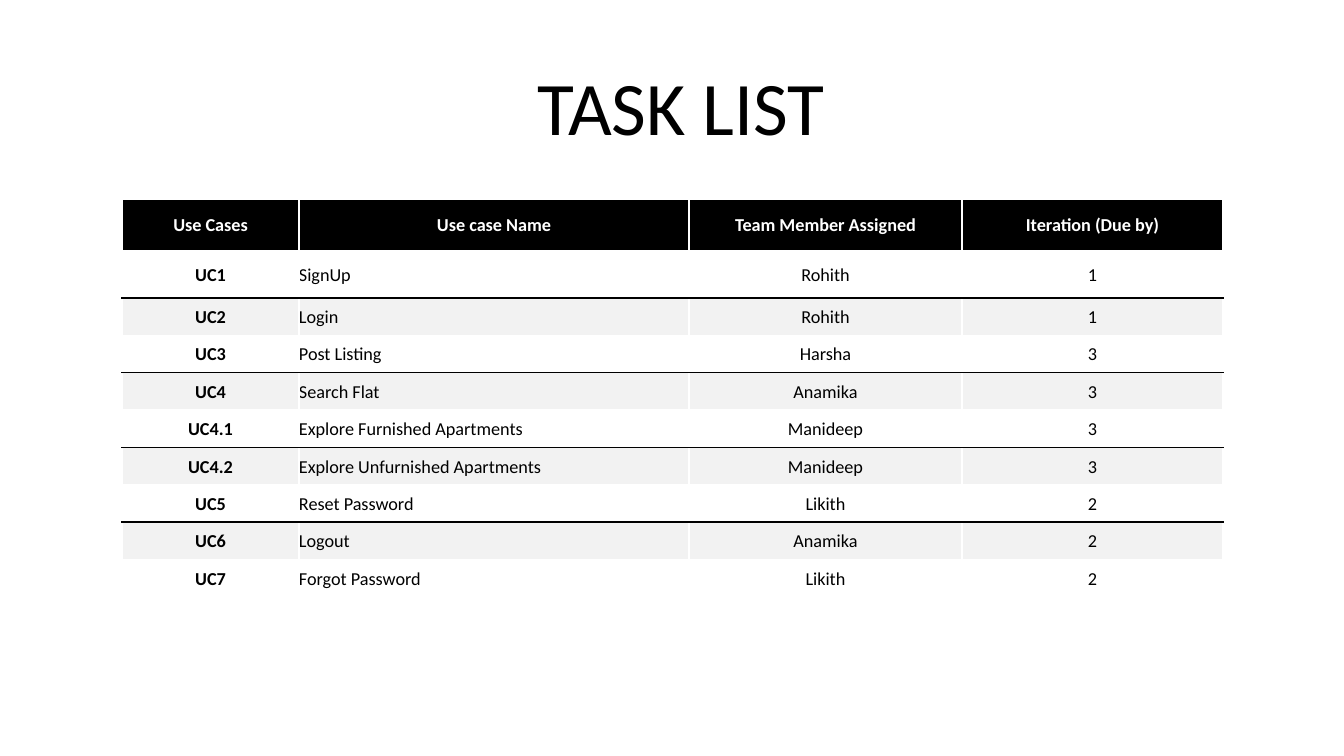
import pptx
import pptx.dml.color
import pptx.enum.text
import pptx.oxml
import pptx.oxml.ns
import pptx.util

EMU_PER_PIXEL = 914400 / 100.8
FONT = "Calibri"
COLORS = {"ink": "000000", "paper": "FFFFFF", "band": "F2F2F2"}
ALIGN = pptx.enum.text.PP_ALIGN
ANCHOR = pptx.enum.text.MSO_ANCHOR

HEADINGS = ("Use Cases", "Use case Name", "Team Member Assigned", "Iteration (Due by)")
TASKS = (
    ("UC1", "SignUp", "Rohith", "1"),
    ("UC2", "Login", "Rohith", "1"),
    ("UC3", "Post Listing", "Harsha", "3"),
    ("UC4", "Search Flat", "Anamika", "3"),
    ("UC4.1", "Explore Furnished Apartments", "Manideep", "3"),
    ("UC4.2", "Explore Unfurnished Apartments", "Manideep", "3"),
    ("UC5", "Reset Password", "Likith", "2"),
    ("UC6", "Logout", "Anamika", "2"),
    ("UC7", "Forgot Password", "Likith", "2"),
)
NAME_COLUMN = 1
COLUMN_WIDTHS = (177, 390, 273, 261)
HEADER_HEIGHT = 52
FIRST_TASK_HEIGHT = 47
OTHER_TASKS_HEIGHT = 299


def px(length):
    """Turn pixels into EMU."""
    return pptx.util.Emu(round(length * EMU_PER_PIXEL))


def rgb(name):
    """Look up a named colour."""
    return pptx.dml.color.RGBColor.from_string(COLORS[name])


def set_margins(target, margin):
    """Give a text frame or cell the same margin on all sides."""
    for side in ("left", "top", "right", "bottom"):
        setattr(target, f"margin_{side}", px(margin))


def write_text(text_frame, text, *, size=13, color="ink", bold=False,
               align=ALIGN.CENTER, spacing=1.07):
    """Write one formatted paragraph into a text frame."""
    paragraph = text_frame.paragraphs[0]
    paragraph.alignment = align
    paragraph.line_spacing = spacing
    run = paragraph.add_run()
    run.text = text
    run.font.name = FONT
    run.font.size = pptx.util.Pt(size)
    run.font.bold = bold
    run.font.color.rgb = rgb(color)


def add_title(slide, text):
    """Add the centred slide title."""
    shape = slide.shapes.add_textbox(px(138), px(8), px(1086), px(149))
    text_frame = shape.text_frame
    text_frame.word_wrap = True
    text_frame.vertical_anchor = ANCHOR.BOTTOM
    set_margins(text_frame, 5)
    write_text(text_frame, text, size=54, spacing=0.9)


def add_cell_border(cell, side, color="ink", points=1):
    """Draw a border on the top (T) or bottom (B) of a cell."""
    border = pptx.oxml.parse_xml(
        f'<a:ln{side} {pptx.oxml.ns.nsdecls("a")} w="{pptx.util.Pt(points)}">'
        f'<a:solidFill><a:srgbClr val="{COLORS[color]}"/></a:solidFill>'
        f'</a:ln{side}>')
    cell._tc.get_or_add_tcPr().insert(0, border)


def fill_cell(cell, text, *, fill, margin=0, **text_format):
    """Set the fill, margins and text of a table cell."""
    cell.fill.solid()
    cell.fill.fore_color.rgb = rgb(fill)
    cell.vertical_anchor = ANCHOR.MIDDLE
    set_margins(cell, margin)
    write_text(cell.text_frame, text, **text_format)


def add_task_table(slide):
    """Add the table of use cases, with a rule above each shaded row."""
    body_height = FIRST_TASK_HEIGHT + OTHER_TASKS_HEIGHT
    table = slide.shapes.add_table(
        len(TASKS) + 1, len(HEADINGS), px(122), px(199),
        px(sum(COLUMN_WIDTHS)), px(HEADER_HEIGHT + body_height)).table
    table.first_row = False
    table.horz_banding = False

    for column, width in zip(table.columns, COLUMN_WIDTHS):
        column.width = px(width)
    task_height = OTHER_TASKS_HEIGHT / (len(TASKS) - 1)
    heights = [HEADER_HEIGHT, FIRST_TASK_HEIGHT] + [task_height] * (len(TASKS) - 1)
    for row, height in zip(table.rows, heights):
        row.height = px(height)

    for column_index, heading in enumerate(HEADINGS):
        fill_cell(table.cell(0, column_index), heading, fill="ink", margin=6,
                  color="paper", bold=True)

    for row_index, task in enumerate(TASKS, start=1):
        shaded = row_index % 2 == 0
        for column_index, text in enumerate(task):
            cell = table.cell(row_index, column_index)
            fill_cell(cell, text, fill="band" if shaded else "paper",
                      bold=column_index == 0,
                      align=ALIGN.LEFT if column_index == NAME_COLUMN else ALIGN.CENTER)
            if shaded:
                add_cell_border(cell, "T")
            elif row_index < len(TASKS):
                add_cell_border(cell, "B")


def main():
    """Build the task list slide and save it."""
    presentation = pptx.Presentation()
    presentation.slide_width = px(1344)
    presentation.slide_height = px(756)
    slide = presentation.slides.add_slide(presentation.slide_layouts[6])
    add_title(slide, "TASK LIST")
    add_task_table(slide)
    presentation.save("out.pptx")


main()
